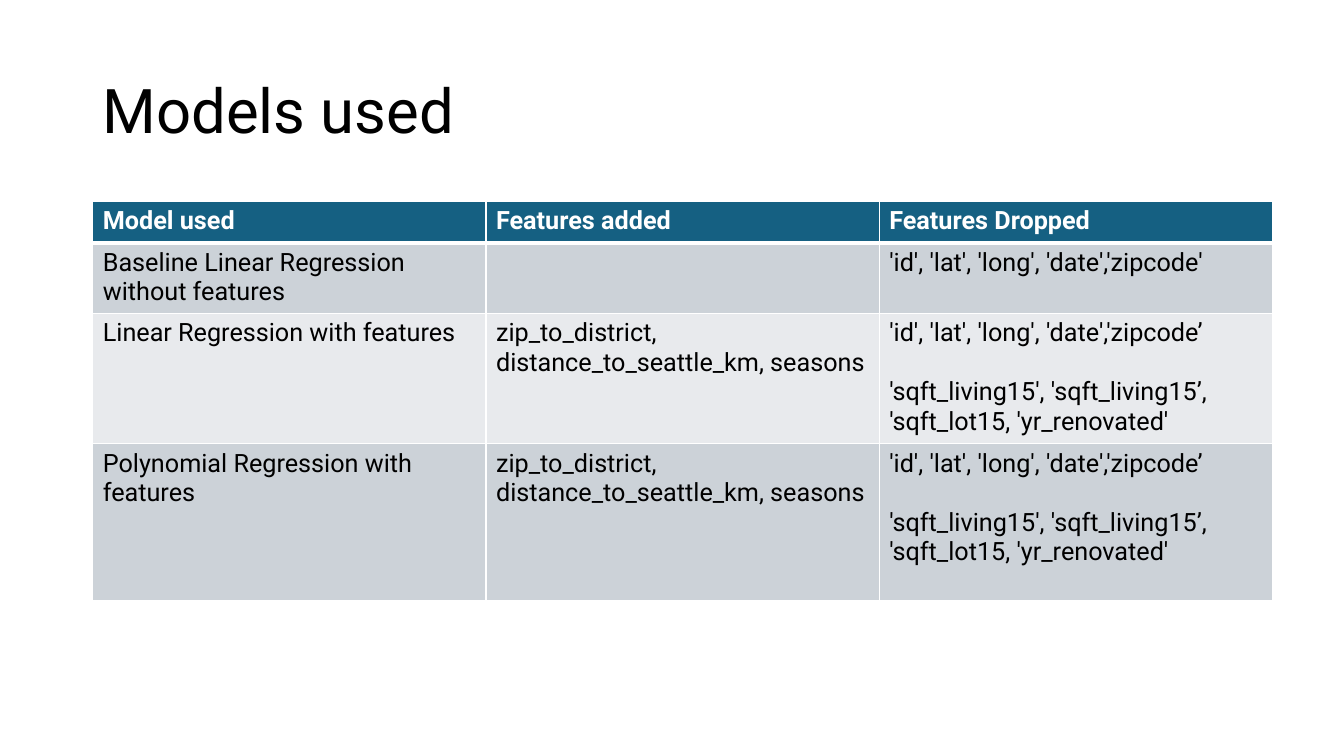
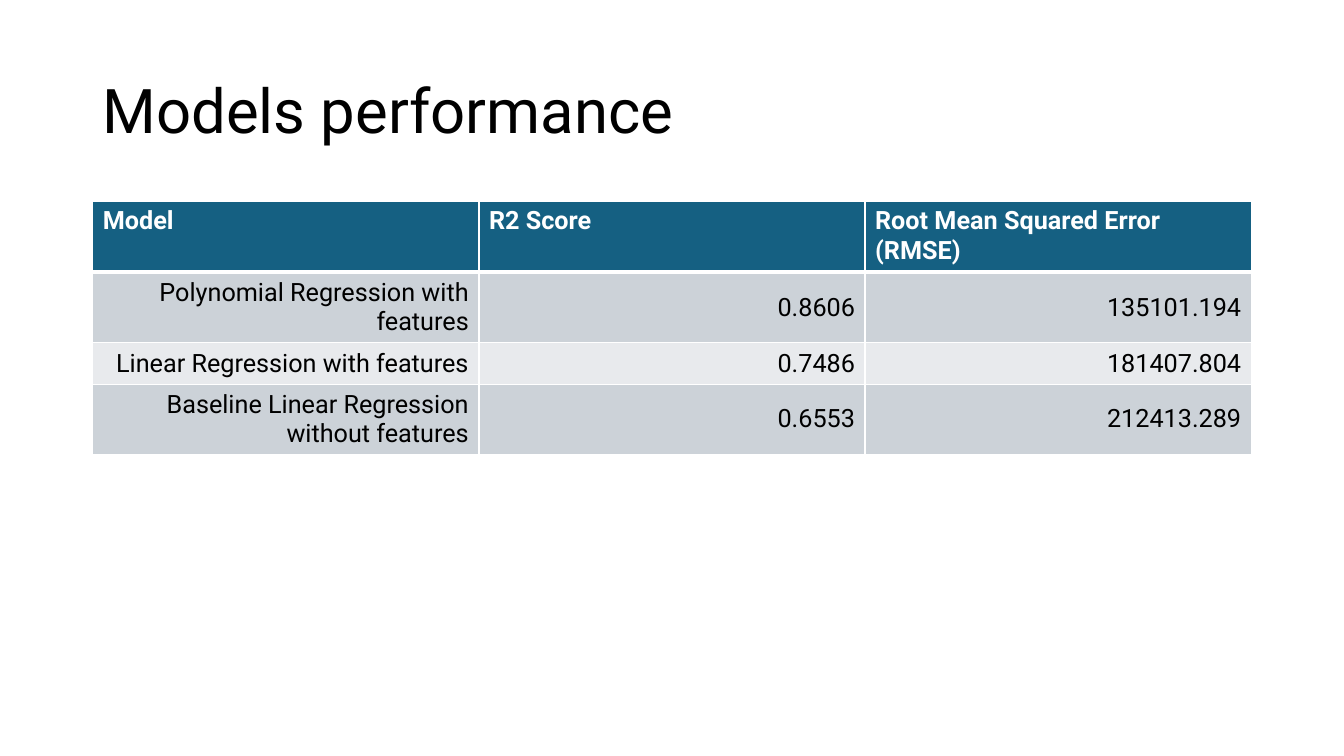
from lxml import etree
from pptx import Presentation
from pptx import util as u
from pptx.dml.color import RGBColor
from pptx.enum import text
from pptx.oxml.ns import qn

PX = 9144  # 100 px to the inch
FONT = "Roboto"
BLACK, WHITE = "000000", "FFFFFF"
HEADER, BANDS = "156082", ("CCD2D8", "E8EAED")
LEFT, TABLE_TOP = 92, 200
TITLE_BOX = (LEFT, 40, 1150, 145)

TITLE_FONT = {"name": FONT, "size": u.Pt(44), "bold": False}
HEADER_FONT = {"name": FONT, "size": u.Pt(18), "bold": True}
BODY_FONT = {**HEADER_FONT, "bold": False}
PARAGRAPH_GAP = u.Pt(21)

BASELINE = "Baseline Linear Regression without features"
LINEAR = "Linear Regression with features"
POLYNOMIAL = "Polynomial Regression with features"
ADDED = "zip_to_district, distance_to_seattle_km, seasons"
DROPPED = ("'id', 'lat', 'long', 'date','zipcode’\n"
           "'sqft_living15', 'sqft_living15’, 'sqft_lot15, 'yr_renovated'")

MODELS = [
    ("Model used", "Features added", "Features Dropped"),
    (BASELINE, "", "'id', 'lat', 'long', 'date','zipcode'"),
    (LINEAR, ADDED, DROPPED),
    (POLYNOMIAL, ADDED, DROPPED),
]
PERFORMANCE = [
    ("Model", "R2 Score", "Root Mean Squared Error (RMSE)"),
    (POLYNOMIAL, "0.8606", "135101.194"),
    (LINEAR, "0.7486", "181407.804"),
    (BASELINE, "0.6553", "212413.289"),
]


def px(*lengths):
    return [u.Emu(n * PX) for n in lengths]


def rgb(color):
    return RGBColor.from_string(color)


def set_attrs(target, values):
    for name, value in values.items():
        setattr(target, name, value)


def write(tf, content, font, color, para=None):
    """Fill a text frame, one paragraph for each line of content."""
    for i, line in enumerate(content.split("\n")):
        p = tf.add_paragraph() if i else tf.paragraphs[0]
        set_attrs(p, para or {})
        if i:
            p.space_before = PARAGRAPH_GAP
        r = p.add_run()
        r.text = line
        set_attrs(r.font, font)
        r.font.color.rgb = rgb(color)


def set_borders(cell, top, bottom):
    """Draw white cell borders; widths are in points."""
    tc_pr = cell._tc.get_or_add_tcPr()
    widths = {"a:lnL": 1, "a:lnR": 1, "a:lnT": top, "a:lnB": bottom}
    for i, (tag, width) in enumerate(widths.items()):
        ln = etree.Element(qn(tag), w=str(u.Pt(width)))
        fill = etree.SubElement(ln, qn("a:solidFill"))
        etree.SubElement(fill, qn("a:srgbClr"), val=WHITE)
        tc_pr.insert(i, ln)


def add_title(s, title):
    tf = s.shapes.add_textbox(*px(*TITLE_BOX)).text_frame
    set_attrs(tf, {"word_wrap": True, "vertical_anchor": text.MSO_ANCHOR.MIDDLE})
    write(tf, title, TITLE_FONT, BLACK, {"line_spacing": 0.9})


def add_table(s, data, col_width, heights, body_para=None, body_anchor=None):
    cols = len(data[0])
    box = px(LEFT, TABLE_TOP, col_width * cols, sum(heights))
    table = s.shapes.add_table(len(data), cols, *box).table
    for col in table.columns:
        col.width = px(col_width)[0]
    for i, (row, height) in enumerate(zip(data, heights)):
        table.rows[i].height = px(height)[0]
        for j, content in enumerate(row):
            cell = table.cell(i, j)
            cell.fill.solid()
            cell.fill.fore_color.rgb = rgb(BANDS[(i - 1) % 2] if i else HEADER)
            set_borders(cell, top=3 if i == 1 else 1, bottom=1 if i else 3)
            if i:
                cell.vertical_anchor = body_anchor
            if content:
                style = (BODY_FONT, BLACK, body_para) if i else (HEADER_FONT, WHITE)
                write(cell.text_frame, content, *style)


def add_slide(prs, title):
    s = prs.slides.add_slide(prs.slide_layouts[6])
    add_title(s, title)
    return s


def main():
    prs = Presentation()
    prs.slide_width, prs.slide_height = u.Inches(13.33), u.Inches(7.5)

    # Features of each model
    s = add_slide(prs, "Models used")
    add_table(s, MODELS, 390, (41, 68, 127, 156))

    # Scores of each model
    s = add_slide(prs, "Models performance")
    add_table(s, PERFORMANCE, 383, (68, 68, 41, 68),
              {"alignment": text.PP_ALIGN.RIGHT}, text.MSO_ANCHOR.MIDDLE)

    prs.save("out.pptx")


if __name__ == "__main__":
    main()
